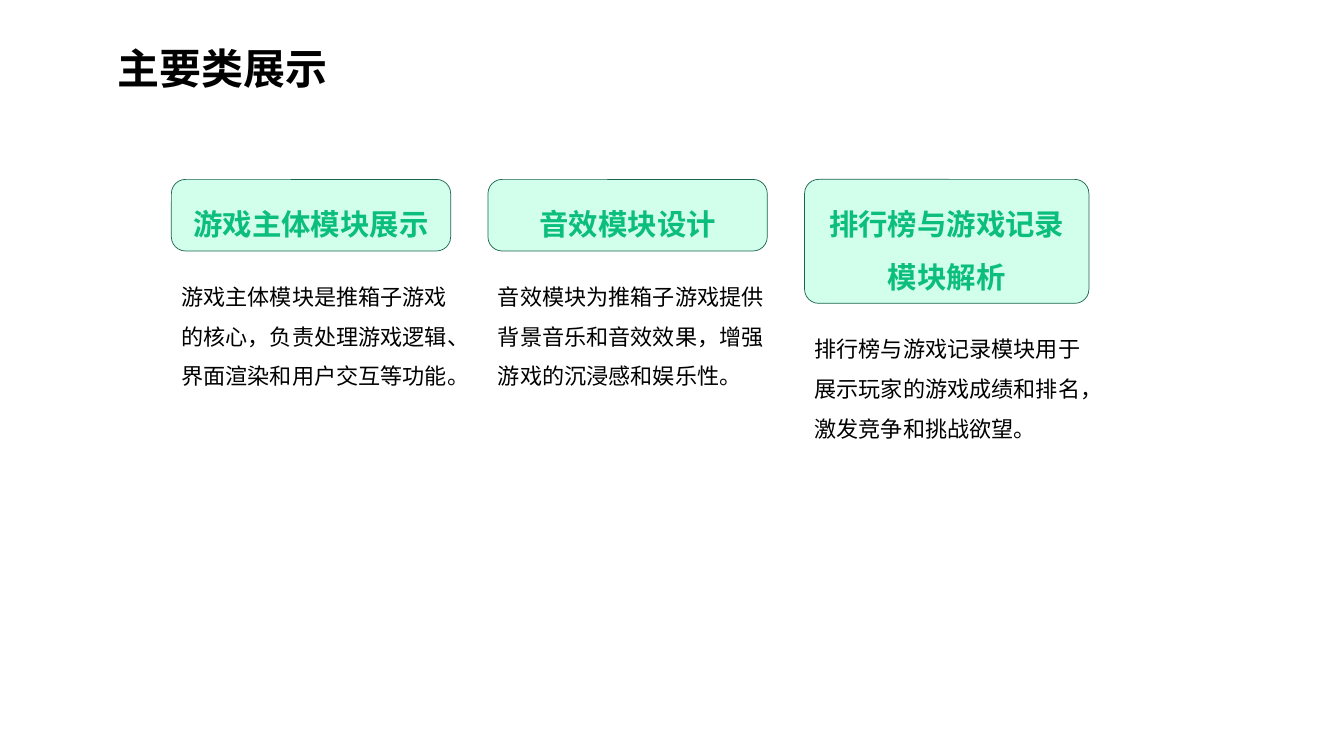
from dataclasses import dataclass

from lxml import etree
from pptx import Presentation
from pptx.dml.color import RGBColor
from pptx.enum.shapes import MSO_SHAPE
from pptx.enum.text import MSO_ANCHOR, MSO_AUTO_SIZE, PP_ALIGN
from pptx.oxml.ns import qn
from pptx.util import Inches, Pt

ROUNDED = MSO_SHAPE.ROUNDED_RECTANGLE
MIDDLE = MSO_ANCHOR.MIDDLE
GROW = MSO_AUTO_SIZE.SHAPE_TO_FIT_TEXT
LEFT, CENTER = PP_ALIGN.LEFT, PP_ALIGN.CENTER


@dataclass(frozen=True)
class Theme:
    typeface: str = "Noto Sans CJK SC"
    ink: str = "000000"
    accent: str = "0CBE7C"
    header_fill: str = "D1FFEB"
    header_line: str = "1A6550"
    title_size: float = 30
    header_size: float = 21
    body_size: float = 15.8
    line_width: float = 0.5
    line_spacing: float = 1.5


class Page:
    """Draws on one slide over a grid whose cells are a tenth of an inch."""

    cell = Inches(0.1)

    def __init__(self, slide, theme):
        self.slide = slide
        self.theme = theme

    def place(self, *cells):
        return [round(count * self.cell) for count in cells]

    def fill_text(self, box, text, size, color, bold=False, align=LEFT):
        frame = box.text_frame
        frame_format = {"word_wrap": True, "auto_size": GROW, "vertical_anchor": MIDDLE}
        for name, value in frame_format.items():
            setattr(frame, name, value)
        para = frame.paragraphs[0]
        para.alignment = align
        para.line_spacing = self.theme.line_spacing
        span = para.add_run()
        span.text = text
        span_format = {"name": self.theme.typeface, "size": Pt(size), "bold": bold}
        for name, value in span_format.items():
            setattr(span.font, name, value)
        span.font.color.rgb = RGBColor.from_string(color)
        east_asian = etree.SubElement(span.font._element, qn("a:ea"))
        east_asian.set("typeface", self.theme.typeface)

    def text(self, area, text, size, bold=False):
        box = self.slide.shapes.add_textbox(*self.place(*area))
        self.fill_text(box, text, size, self.theme.ink, bold)

    def header(self, area, text, radius=1.4):
        box = self.slide.shapes.add_shape(ROUNDED, *self.place(*area))
        box.adjustments[0] = radius / area[3]
        box.shadow.inherit = False
        box.fill.solid()
        box.fill.fore_color.rgb = RGBColor.from_string(self.theme.header_fill)
        box.line.color.rgb = RGBColor.from_string(self.theme.header_line)
        box.line.width = Pt(self.theme.line_width)
        self.fill_text(box, text, self.theme.header_size, self.theme.accent, True, CENTER)

    def card(self, index, heading, body, header_width, lines):
        left, top = 17 + 31.4 * index, 17.8
        header_height = 1.9 + 5.2 * lines
        self.text((left, top + header_height + 1.4, 30, 12.8), body, self.theme.body_size)
        self.header((left, top, header_width, header_height), heading)


CARDS = [
    (
        "游戏主体模块展示",
        "游戏主体模块是推箱子游戏的核心，负责处理游戏逻辑、界面渲染和用户交互等功能。",
        27.7,
        1,
    ),
    (
        "音效模块设计",
        "音效模块为推箱子游戏提供背景音乐和音效效果，增强游戏的沉浸感和娱乐性。",
        27.7,
        1,
    ),
    (
        "排行榜与游戏记录模块解析",
        "排行榜与游戏记录模块用于展示玩家的游戏成绩和排名，激发竞争和挑战欲望。",
        28.2,
        2,
    ),
]


def main():
    deck = Presentation()
    deck.slide_width, deck.slide_height = Inches(13.33), Inches(7.5)
    theme = Theme()
    page = Page(deck.slides.add_slide(deck.slide_layouts[6]), theme)
    page.text((10.7, 1.2, 102.5, 8.5), "主要类展示", theme.title_size, bold=True)
    for index, card in enumerate(CARDS):
        page.card(index, *card)
    deck.save("out.pptx")


if __name__ == "__main__":
    main()
